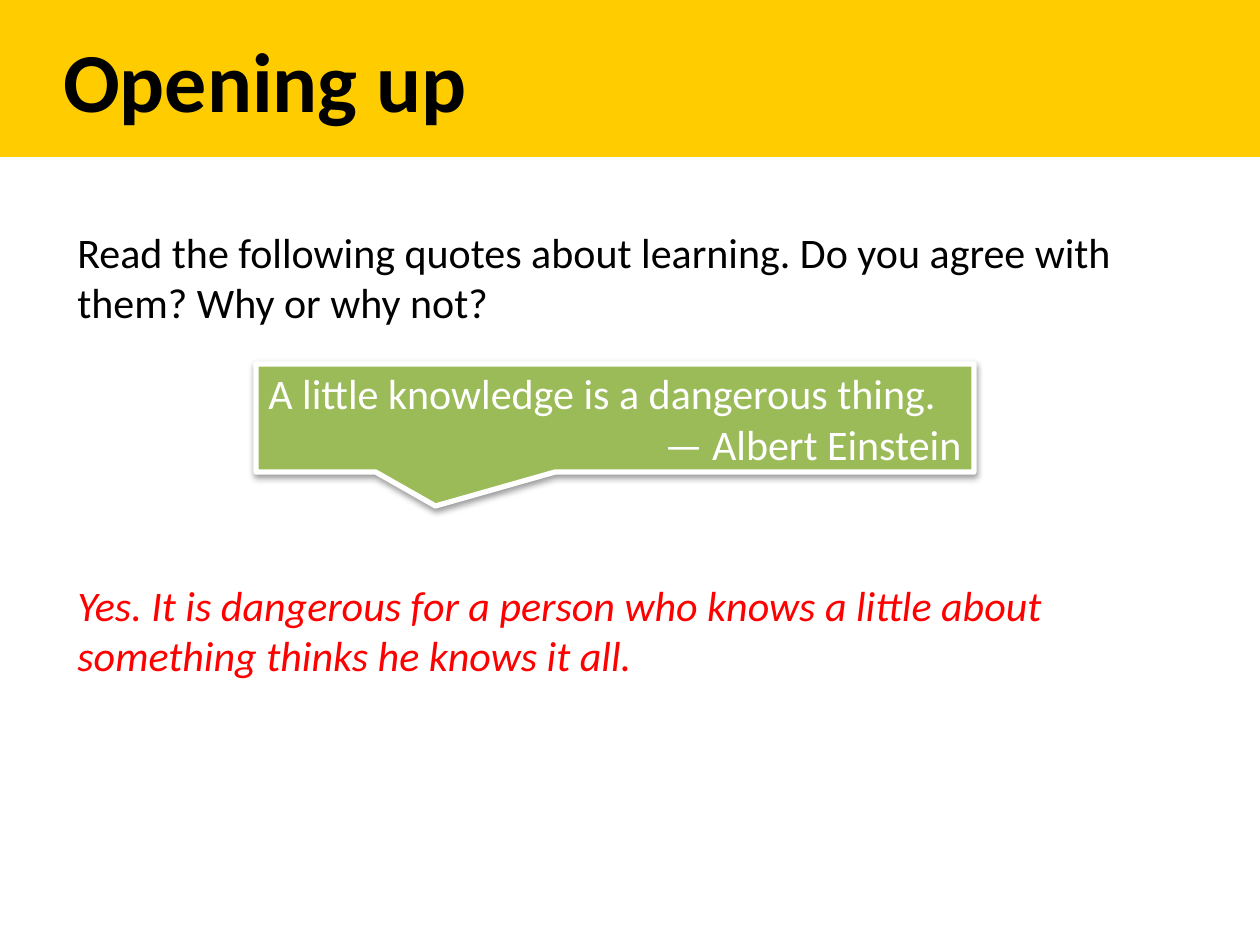
"""Builds the "Opening up" discussion slide with a quote callout and an answer."""
from lxml import etree
from pptx import Presentation
from pptx.dml.color import RGBColor
from pptx.enum.shapes import MSO_SHAPE
from pptx.enum.text import MSO_ANCHOR, PP_ALIGN
from pptx.oxml.ns import qn
from pptx.util import Pt

CALLOUT = MSO_SHAPE.RECTANGULAR_CALLOUT
MIDDLE = MSO_ANCHOR.MIDDLE
LEFT, RIGHT = PP_ALIGN.LEFT, PP_ALIGN.RIGHT

BLACK = RGBColor(0x00, 0x00, 0x00)
WHITE = RGBColor(0xFF, 0xFF, 0xFF)
YELLOW = RGBColor(0xFF, 0xCC, 0x00)
GREEN = RGBColor(0x9B, 0xBB, 0x59)
RED = RGBColor(0xFF, 0x00, 0x00)

WIDTH, HEIGHT = 1260, 945
SCALE = 9144000 / WIDTH


def px(length):
    """Turn pixels into EMU."""
    return round(length * SCALE)


def write(para, text, font="Calibri", size=24, color=BLACK, bold=False,
          italic=False, align=LEFT):
    """Add formatted text to a paragraph."""
    para.alignment = align
    span = para.add_run()
    span.text = text
    span.font.name = font
    span.font.size = Pt(size)
    span.font.color.rgb = color
    span.font.bold = bold
    span.font.italic = italic


def add_soft_shadow(shape):
    """Give a shape a soft shadow straight below it."""
    shape.shadow.inherit = False
    effects = shape._element.spPr.find(qn("a:effectLst"))
    shadow = etree.SubElement(effects, qn("a:outerShdw"), blurRad="40000",
                              dist="20000", dir="5400000", rotWithShape="0")
    color = etree.SubElement(shadow, qn("a:srgbClr"), val=str(BLACK))
    etree.SubElement(color, qn("a:alpha"), val="38000")


class LessonSlide:
    """Holds the lesson style and the current slide."""

    def __init__(self, deck):
        self.page = deck.slides.add_slide(deck.slide_layouts[5])

    def title_band(self, text, height, indent):
        """Fill the title placeholder across the top of the slide."""
        title = self.page.shapes.title
        title.left, title.top = 0, 0
        title.width, title.height = px(WIDTH), px(height)
        title.fill.solid()
        title.fill.fore_color.rgb = YELLOW
        frame = title.text_frame
        frame.margin_left = px(indent)
        frame.vertical_anchor = MIDDLE
        write(frame.paragraphs[0], text, size=48, bold=True)

    def text(self, text, left, top, width, height, **style):
        """Add a wrapping text box."""
        box = self.page.shapes.add_textbox(*map(px, (left, top, width, height)))
        box.text_frame.word_wrap = True
        write(box.text_frame.paragraphs[0], text, **style)

    def quote(self, text, author, left, top, width, height, tip):
        """Add a speech callout with a quote and its author."""
        shape = self.page.shapes.add_shape(
            CALLOUT, *map(px, (left, top, width, height)))
        shape.adjustments[0], shape.adjustments[1] = tip
        shape.fill.solid()
        shape.fill.fore_color.rgb = GREEN
        shape.line.color.rgb = WHITE
        shape.line.width = Pt(3)
        add_soft_shadow(shape)
        frame = shape.text_frame
        frame.word_wrap = True
        frame.vertical_anchor = MIDDLE
        write(frame.paragraphs[0], text, color=WHITE)
        write(frame.add_paragraph(), f"— {author}", color=WHITE, align=RIGHT)


def main():
    """Build and save the deck."""
    deck = Presentation()
    deck.slide_width, deck.slide_height = px(WIDTH), px(HEIGHT)
    slide = LessonSlide(deck)
    slide.title_band("Opening up", height=157, indent=63)
    slide.text("Read the following quotes about learning. Do you agree with "
               "them? Why or why not?", 65, 220, 1130, 115)
    slide.quote("A little knowledge is a dangerous thing.", "Albert Einstein",
                256, 364, 718, 108, tip=(-0.25, 0.815))
    slide.text("Yes. It is dangerous for a person who knows a little about "
               "something thinks he knows it all.", 65, 573, 1067, 165,
               color=RED, italic=True)
    deck.save("out.pptx")


if __name__ == "__main__":
    main()
